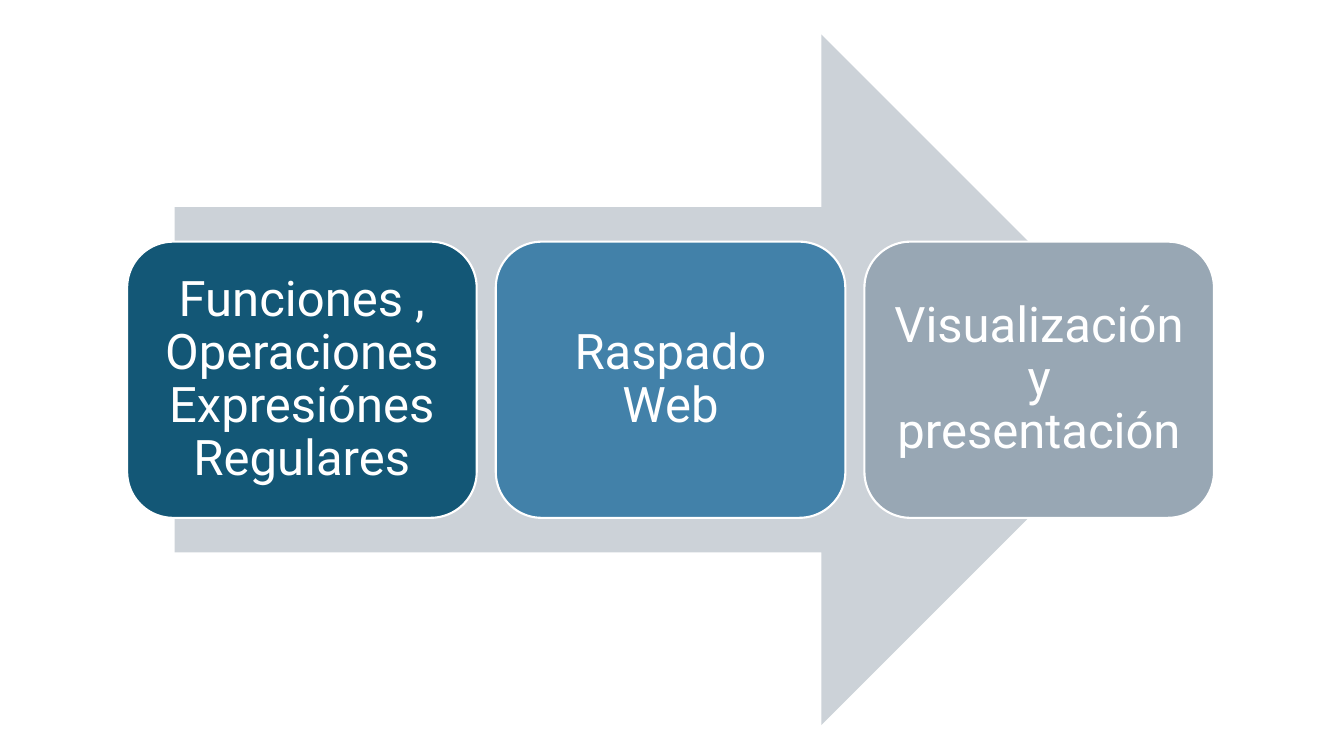
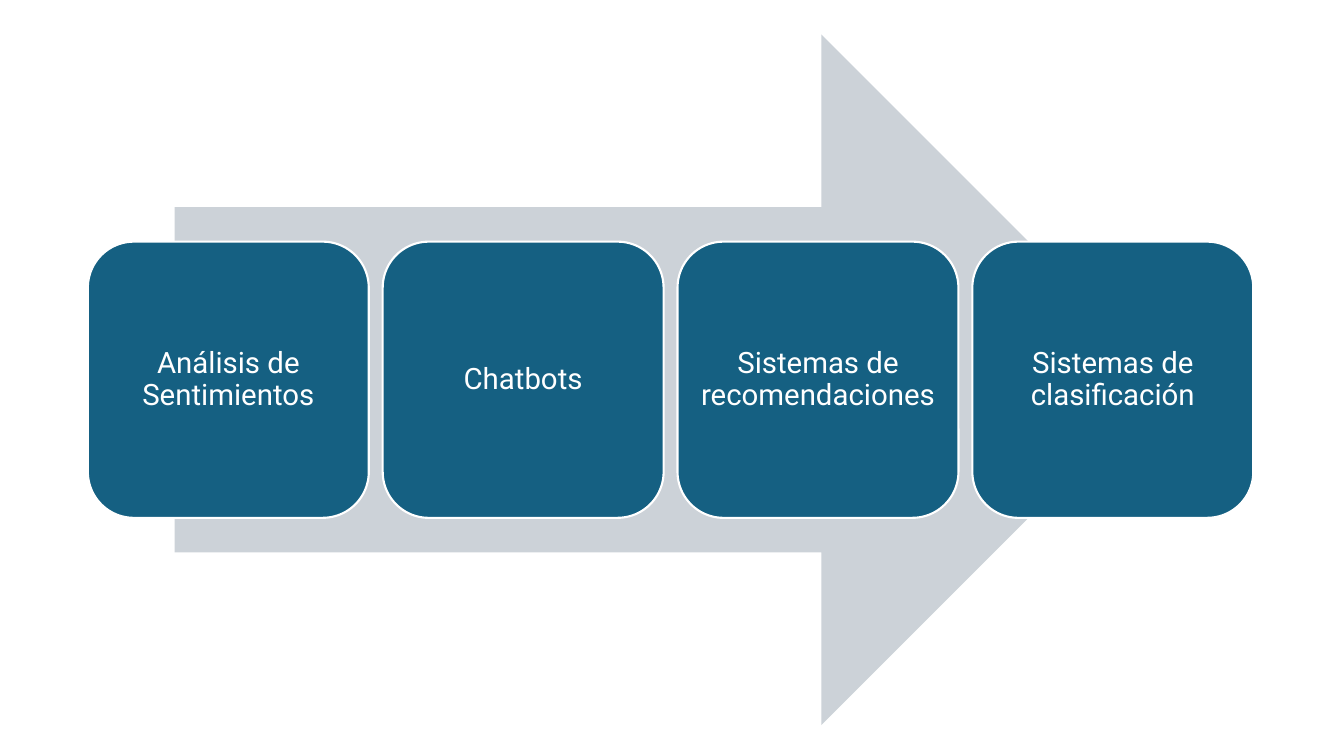
from dataclasses import dataclass

from pptx import Presentation
from pptx.dml.color import RGBColor
from pptx.enum.shapes import MSO_SHAPE
from pptx.enum.text import MSO_ANCHOR, PP_ALIGN
from pptx.shapes.autoshape import Shape
from pptx.shapes.group import GroupShape
from pptx.util import Cm, Pt

FONT = "Roboto"
WHITE = "FFFFFF"
ARROW_FILL = "CCD2D8"
TEAL = "156082"

ARROW_LEFT, ARROW_TOP, ARROW_WIDTH, ARROW_HEIGHT = 4.4, 0.87, 25, 17.4
STEP_HEIGHT = ARROW_HEIGHT * 0.4
STEP_TOP = ARROW_TOP + (ARROW_HEIGHT - STEP_HEIGHT) / 2


@dataclass(frozen=True)
class Step:
    label: str
    fill: str = TEAL


@dataclass(frozen=True)
class Process:
    steps: tuple[Step, ...]
    width: float
    gap: float
    font_size: int
    inset: float


PROCESSES = (
    Process(
        steps=(
            Step("Funciones , Operaciones Expresiónes Regulares", "135776"),
            Step("Raspado Web", "4281A9"),
            Step("Visualización y presentación", "98A7B4"),
        ),
        width=8.81, gap=0.48, font_size=35, inset=0.37,
    ),
    Process(
        steps=(
            Step("Análisis de Sentimientos"),
            Step("Chatbots"),
            Step("Sistemas de recomendaciones"),
            Step("Sistemas de clasificación"),
        ),
        width=7.08, gap=0.35, font_size=21, inset=0.22,
    ),
)


def color(value: str) -> RGBColor:
    return RGBColor.from_string(value)


def add_filled(group: GroupShape, kind: MSO_SHAPE, left: float, top: float,
               width: float, height: float, fill: str) -> Shape:
    sp = group.shapes.add_shape(kind, Cm(left), Cm(top), Cm(width), Cm(height))
    sp.shadow.inherit = False
    sp.fill.solid()
    sp.fill.fore_color.rgb = color(fill)
    sp.line.fill.background()
    return sp


def add_step(group: GroupShape, step: Step, left: float, process: Process) -> None:
    sp = add_filled(group, MSO_SHAPE.ROUNDED_RECTANGLE, left, STEP_TOP,
                    process.width, STEP_HEIGHT, step.fill)
    sp.line.color.rgb = color(WHITE)
    sp.line.width = Pt(1.5)
    tf = sp.text_frame
    tf.word_wrap = True
    tf.vertical_anchor = MSO_ANCHOR.MIDDLE
    tf.margin_left = tf.margin_right = Cm(process.inset)
    tf.margin_top = tf.margin_bottom = Cm(process.inset)
    p = tf.paragraphs[0]
    p.text = step.label
    p.alignment = PP_ALIGN.CENTER
    p.line_spacing = 0.9
    p.font.name = FONT
    p.font.size = Pt(process.font_size)
    p.font.color.rgb = color(WHITE)


def add_process(group: GroupShape, process: Process) -> None:
    """Draw the arrow with a row of steps centred on it."""
    add_filled(group, MSO_SHAPE.RIGHT_ARROW, ARROW_LEFT, ARROW_TOP,
               ARROW_WIDTH, ARROW_HEIGHT, ARROW_FILL)
    pitch = process.width + process.gap
    row_width = len(process.steps) * pitch - process.gap
    row_left = ARROW_LEFT + (ARROW_WIDTH - row_width) / 2
    for i, step in enumerate(process.steps):
        add_step(group, step, row_left + i * pitch, process)


def main() -> None:
    prs = Presentation()
    prs.slide_width, prs.slide_height = Cm(33.87), Cm(19.05)
    for process in PROCESSES:
        s = prs.slides.add_slide(prs.slide_layouts[6])
        add_process(s.shapes.add_group_shape(), process)
    prs.save("out.pptx")


if __name__ == "__main__":
    main()
